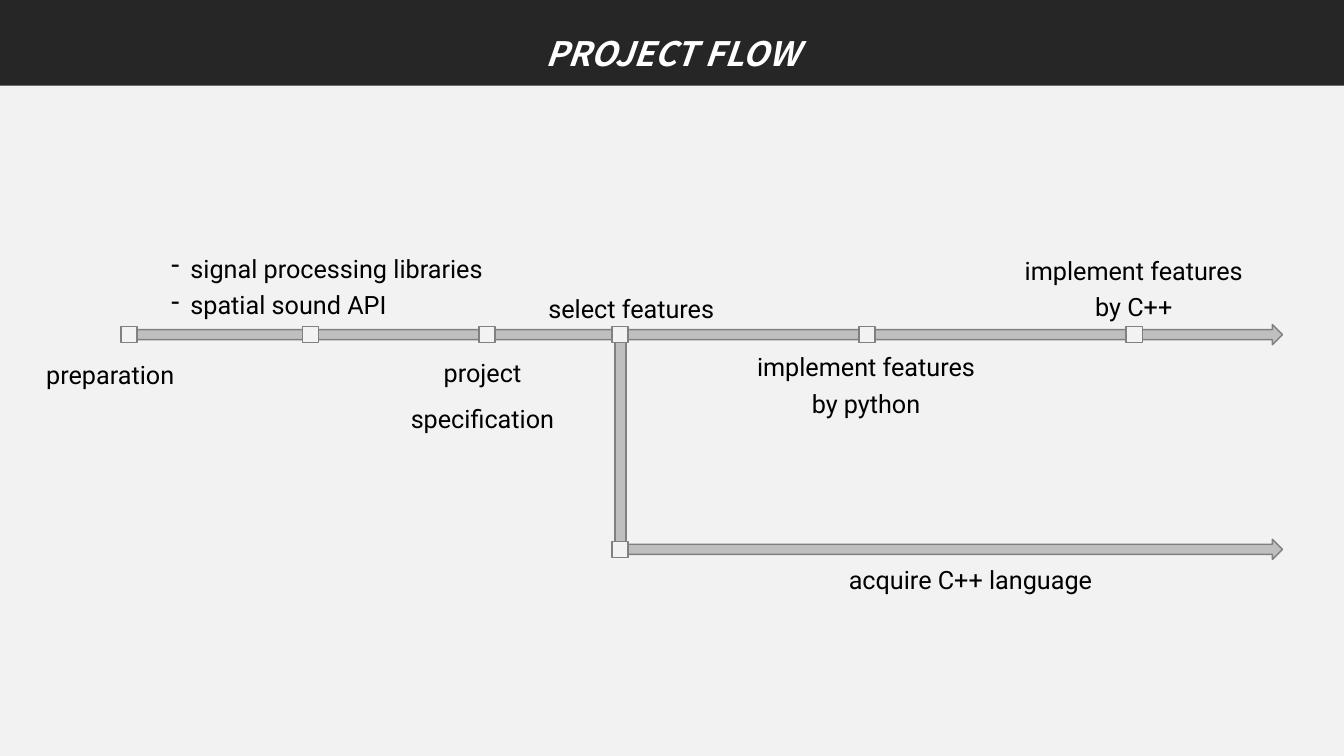
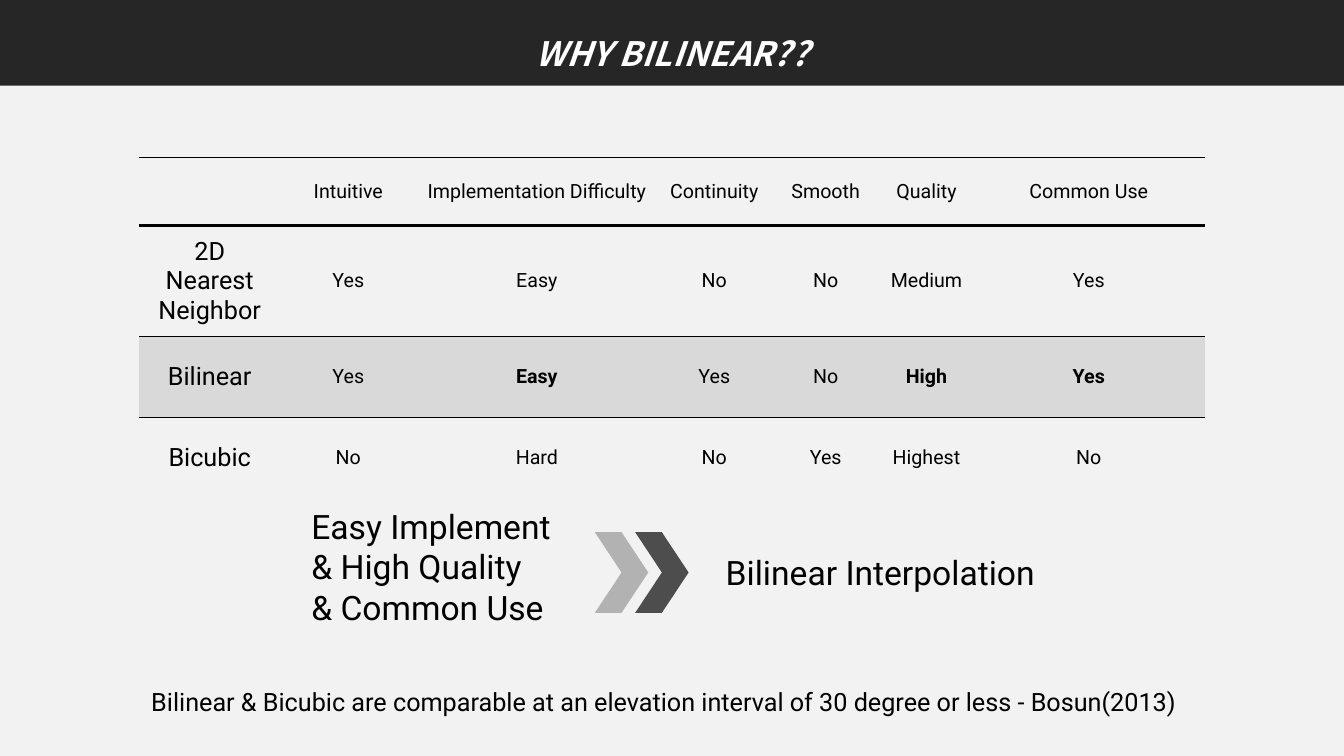
import pptx
import pptx.dml.color
import pptx.enum.shapes
import pptx.enum.text
import pptx.oxml
import pptx.oxml.ns
import pptx.util

Inches = pptx.util.Inches
Pt = pptx.util.Pt
Kind = pptx.enum.shapes.MSO_SHAPE
Align = pptx.enum.text.PP_ALIGN
Anchor = pptx.enum.text.MSO_ANCHOR
Fit = pptx.enum.text.MSO_AUTO_SIZE

PAPER, DARK, BLACK, WHITE = "F2F2F2", "262626", "000000", "FFFFFF"
BAR, EDGE, SHADE = "BFBFBF", "808080", "D9D9D9"
NS = pptx.oxml.ns.nsdecls("a")


def paint(fill, hue):
    fill.solid()
    fill.fore_color.rgb = pptx.dml.color.RGBColor.from_string(hue)


def write(frame, text, size=18, face="Roboto", hue=BLACK, bold=False,
          slant=False, align=Align.LEFT, space=1.0, dash=False):
    """Fill a text frame, one paragraph per line of text."""
    frame.word_wrap = True
    frame.text = text
    for para in frame.paragraphs:
        if dash:
            props = para._p.get_or_add_pPr()
            props.set("marL", str(Inches(0.19)))
            props.set("indent", str(Inches(-0.19)))
            props.append(pptx.oxml.parse_xml(f'<a:buChar {NS} char="-"/>'))
        para.alignment = align
        para.line_spacing = space
        for run in para.runs:
            font = run.font
            font.size, font.name = Pt(size), face
            font.bold, font.italic = bold, slant
            paint(font.fill, hue)


# Shared parts: page, background, title band
deck = pptx.Presentation()
deck.slide_width, deck.slide_height = Inches(13.33), Inches(7.5)
paint(deck.slide_master.background.fill, PAPER)

slides = []
for name in ("PROJECT FLOW", "WHY BILINEAR??"):
    slide = deck.slides.add_slide(deck.slide_layouts[5])
    band = slide.shapes.title
    band.left, band.top = 0, 0
    band.width, band.height = deck.slide_width, Inches(0.85)
    paint(band.fill, DARK)
    band.text_frame.auto_size = Fit.NONE
    band.text_frame.vertical_anchor = Anchor.MIDDLE
    write(band.text_frame, name, size=24, face="Noto Sans CJK KR", hue=WHITE,
          bold=True, slant=True, align=Align.CENTER, space=1.5)
    slides.append(slide)
flow, why = slides

# Project flow: bars first, then the square stops on top
MAIN, SIDE, FORK, END = 3.32, 5.45, 6.15, 12.72
STOP, THICK = 0.16, 0.2
parts = [
    (Kind.RECTANGLE, FORK - 0.05, MAIN, 0.11, SIDE - MAIN, BAR),
    (Kind.RIGHT_ARROW, 1.26, MAIN - THICK / 2, END - 1.26, THICK, BAR),
    (Kind.RIGHT_ARROW, FORK, SIDE - THICK / 2, END - FORK, THICK, BAR),
]
stops = [(x, MAIN) for x in (1.28, 3.08, 4.83, FORK, 8.6, 11.25)]
for x, y in stops + [(FORK, SIDE)]:
    parts.append((Kind.RECTANGLE, x - STOP / 2, y - STOP / 2, STOP, STOP, PAPER))
for kind, x, y, wide, high, hue in parts:
    part = flow.shapes.add_shape(kind, Inches(x), Inches(y), Inches(wide), Inches(high))
    part.shadow.inherit = False
    paint(part.fill, hue)
    paint(part.line.fill, EDGE)
    part.line.width = Pt(1)

# Text boxes of both slides
mid = {"align": Align.CENTER}
labels = [
    (flow, 8.32, 5.55, 3.67, 0.4, "acquire C++ language", {}),
    (flow, 1.6, 2.4, 3.51, 0.79, "signal processing libraries\nspatial sound API",
     {"space": 1.2, "dash": True}),
    (flow, 5.34, 2.71, 2, 0.56, "select features", {"space": 1.5}),
    (flow, 7.4, 3.38, 2.38, 0.79, "implement features\nby python", {"space": 1.2, **mid}),
    (flow, 9.82, 2.42, 2.85, 0.79, "implement features\nby C++", {"space": 1.2, **mid}),
    (flow, 0.36, 3.37, 1.59, 0.49, "preparation", {"space": 1.5}),
    (flow, 3.53, 3.35, 2.51, 0.95, "project\nspecification", {"space": 1.5, **mid}),
    (why, 1.28, 6.76, 10.61, 0.4,
     "Bilinear & Bicubic are comparable at an elevation interval of 30 degree or less"
     " - Bosun(2013)", mid),
    (why, 2.99, 4.97, 2.8, 1.31, "Easy Implement\n& High Quality\n& Common Use", {"size": 24}),
    (why, 7.1, 5.43, 3.5, 0.5, "Bilinear Interpolation", {"size": 24}),
]
for slide, x, y, wide, high, text, style in labels:
    box = slide.shapes.add_textbox(Inches(x), Inches(y), Inches(wide), Inches(high))
    write(box.text_frame, text, **style)

# Comparison table
rows = [
    ["", "Intuitive", "Implementation Difficulty", "Continuity", "Smooth", "Quality",
     "Common Use"],
    ["2D Nearest Neighbor", "Yes", "Easy", "No", "No", "Medium", "Yes"],
    ["Bilinear", "Yes", "Easy", "Yes", "No", "High", "Yes"],
    ["Bicubic", "No", "Hard", "No", "Yes", "Highest", "No"],
]
wides = [1.4, 1.35, 2.39, 1.13, 1.08, 0.92, 2.3]
highs = [0.68, 1.1, 0.8, 0.8]
rules = [1, 2.25, 1, 1, 0]
PICK = 2
STRONG = (2, 5, 6)

grid = why.shapes.add_table(len(rows), len(wides), Inches(1.38), Inches(1.56),
                            Inches(sum(wides)), Inches(sum(highs))).table
grid.first_row = grid.horz_banding = False
for col, wide in zip(grid.columns, wides):
    col.width = Inches(wide)
for r, row in enumerate(rows):
    grid.rows[r].height = Inches(highs[r])
    for c, text in enumerate(row):
        cell = grid.cell(r, c)
        cell.vertical_anchor = Anchor.MIDDLE
        props = cell._tc.get_or_add_tcPr()
        for side, width in zip("LRTB", (0, 0, rules[r], rules[r + 1])):
            ink = (f'<a:solidFill><a:srgbClr val="{BLACK}"/></a:solidFill>'
                   if width else "<a:noFill/>")
            props.append(pptx.oxml.parse_xml(
                f'<a:ln{side} {NS} w="{Pt(width)}">{ink}</a:ln{side}>'))
        if r == PICK:
            paint(cell.fill, SHADE)
        else:
            cell.fill.background()
        write(cell.text_frame, text, size=14 if c else 18,
              bold=r == PICK and c in STRONG, align=Align.CENTER)

# Chevrons leading to the choice
for x, hue in ((5.9, "B2B2B2"), (6.3, "4D4D4D")):
    mark = why.shapes.add_shape(Kind.CHEVRON, Inches(x), Inches(5.28),
                                Inches(0.53), Inches(0.8))
    mark.shadow.inherit = False
    paint(mark.fill, hue)
    mark.line.fill.background()

deck.save("out.pptx")
